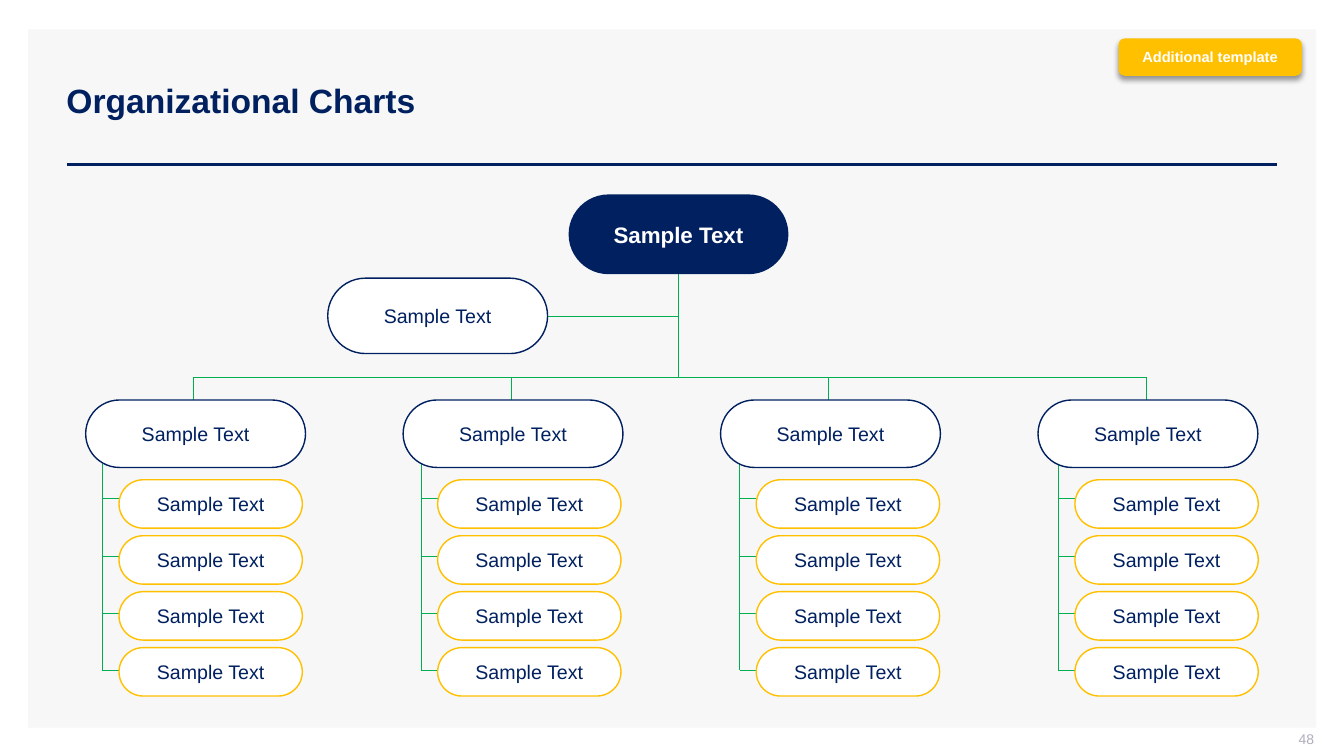
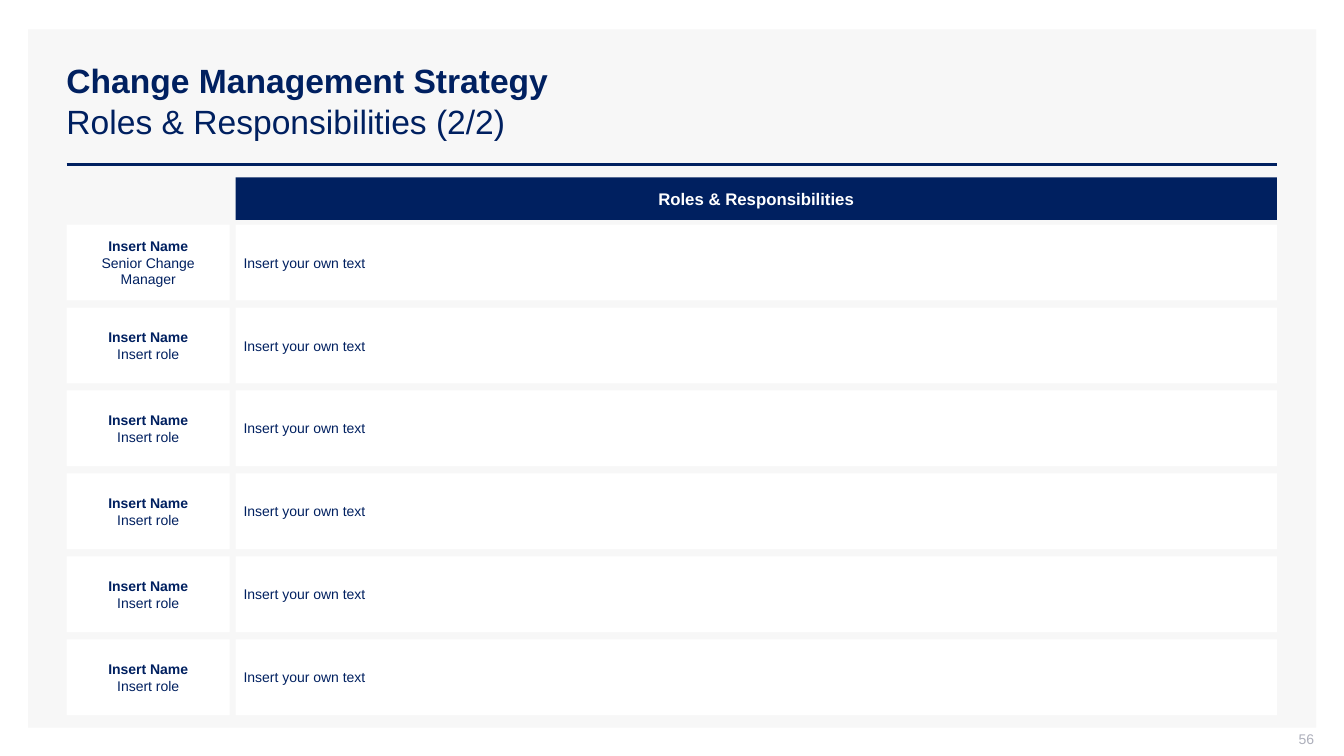
"""Build an organizational chart slide and a roles and responsibilities slide."""
import lxml.etree
import pptx
import pptx.dml.color
import pptx.enum.shapes
import pptx.enum.text
import pptx.oxml.ns
import pptx.util

Cm = pptx.util.Cm
Pt = pptx.util.Pt
qn = pptx.oxml.ns.qn
RGBColor = pptx.dml.color.RGBColor
SHAPES = pptx.enum.shapes.MSO_SHAPE
ALIGN = pptx.enum.text.PP_ALIGN
MIDDLE = pptx.enum.text.MSO_ANCHOR.MIDDLE

FONT = "Arial"
COLORS = {
    "navy": "002060",
    "green": "00B050",
    "amber": "FFC000",
    "white": "FFFFFF",
    "panel": "F7F7F7",
    "gray": "ADAFBB",
    "black": "000000",
}


def add_box(slide, kind, position, fill, text="", size=14, color="navy",
            bold=False, outline=None, align=ALIGN.CENTER, insets=(0.25, 0.13)):
    """Add a filled shape with centimetre position and formatted text."""
    shape = slide.shapes.add_shape(kind, *[Cm(value) for value in position])
    shape.shadow.inherit = False
    shape.fill.solid()
    shape.fill.fore_color.rgb = RGBColor.from_string(COLORS[fill])
    if outline:
        shape.line.color.rgb = RGBColor.from_string(COLORS[outline])
        shape.line.width = Pt(1)
    else:
        shape.line.fill.background()
    frame = shape.text_frame
    frame.word_wrap = True
    frame.vertical_anchor = MIDDLE
    frame.margin_left = frame.margin_right = Cm(insets[0])
    frame.margin_top = frame.margin_bottom = Cm(insets[1])
    frame.text = text
    for paragraph in frame.paragraphs:
        paragraph.alignment = align
        paragraph.font.name = FONT
        paragraph.font.size = Pt(size)
        paragraph.font.bold = bold
        paragraph.font.color.rgb = RGBColor.from_string(COLORS[color])
    return shape


def add_line(slide, left, top, right, bottom, color="green", width=0.5):
    """Add a straight line between two points in centimetres."""
    line = slide.shapes.add_connector(
        pptx.enum.shapes.MSO_CONNECTOR.STRAIGHT,
        Cm(left), Cm(top), Cm(right), Cm(bottom))
    line.line.color.rgb = RGBColor.from_string(COLORS[color])
    line.line.width = Pt(width)
    lxml.etree.SubElement(line.element.spPr, qn("a:effectLst"))
    return line


presentation = pptx.Presentation()
presentation.slide_width = Cm(33.87)
presentation.slide_height = Cm(19.05)
layout = presentation.slide_layouts[5]
chart_slide = presentation.slides.add_slide(layout)
roles_slide = presentation.slides.add_slide(layout)

panel = add_box(chart_slide, SHAPES.RECTANGLE, (0.71, 0.74, 32.46, 17.6), "panel")
title_rule = add_line(chart_slide, 1.68, 4.14, 32.18, 4.14, "navy", 2)
for shape in (panel, title_rule):
    layout.shapes.element.append(shape.element)

headings = [
    (chart_slide, "Organizational Charts", None, "48"),
    (roles_slide, "Change Management Strategy", "Roles & Responsibilities (2/2)", "56"),
]
for slide, heading, subheading, page_number in headings:
    title = slide.shapes.title
    title.left, title.top = Cm(1.42), Cm(1.02)
    title.width, title.height = Cm(30.76), Cm(3.02)
    title.text_frame.vertical_anchor = MIDDLE
    paragraph = title.text_frame.paragraphs[0]
    paragraph.alignment = ALIGN.LEFT
    paragraph.font.name = FONT
    paragraph.font.size = Pt(24)
    paragraph.font.color.rgb = RGBColor.from_string(COLORS["navy"])
    run = paragraph.add_run()
    run.text = heading
    run.font.bold = True
    if subheading:
        paragraph.add_line_break()
        run = paragraph.add_run()
        run.text = subheading
        run.font.bold = False

    number_box = slide.shapes.add_textbox(Cm(25.5), Cm(18.42), Cm(7.62), Cm(0.53))
    frame = number_box.text_frame
    frame.word_wrap = True
    frame.vertical_anchor = MIDDLE
    frame.margin_top = frame.margin_right = 0
    frame.margin_bottom = Cm(0.13)
    frame.text = page_number
    paragraph = frame.paragraphs[0]
    paragraph.alignment = ALIGN.RIGHT
    paragraph.font.name = FONT
    paragraph.font.size = Pt(10)
    paragraph.font.color.rgb = RGBColor.from_string(COLORS["gray"])

BRANCHES = 4
LEAVES = 4
BRANCH_STEP = 8
BUS_TOP = 9.5
TRUNK_LEFT = 17.1
FIRST_DROP = 4.88

add_line(chart_slide, FIRST_DROP, BUS_TOP,
         FIRST_DROP + (BRANCHES - 1) * BRANCH_STEP, BUS_TOP)
add_line(chart_slide, TRUNK_LEFT, 6.86, TRUNK_LEFT, BUS_TOP)
add_line(chart_slide, 13.11, 7.98, TRUNK_LEFT, 7.98)

pills = [
    ((14.33, 4.9, 5.54, 2.01), "navy", None, 16, "white", True),
    ((8.26, 7.01, 5.54, 1.9), "white", "navy", 14, "navy", False),
]
for branch in range(BRANCHES):
    drop_left = FIRST_DROP + branch * BRANCH_STEP
    leaf_left = 3 + branch * 8.03
    spine_left = leaf_left - 0.42
    add_line(chart_slide, drop_left, BUS_TOP, drop_left, 10.19)
    add_line(chart_slide, spine_left, 11.68, spine_left, 16.89)
    branch_position = (2.16 + branch * BRANCH_STEP, 10.08, 5.54, 1.7)
    pills.append((branch_position, "white", "navy", 14, "navy", False))
    for leaf in range(LEAVES):
        stub_top = 12.57 + leaf * 1.44
        add_line(chart_slide, spine_left, stub_top, leaf_left, stub_top)
        leaf_position = (leaf_left, 12.09 + leaf * 1.41, 4.62, 1.22)
        pills.append((leaf_position, "white", "amber", 14, "navy", False))

for position, fill, outline, size, color, bold in pills:
    pill = add_box(chart_slide, SHAPES.ROUNDED_RECTANGLE, position, fill,
                   "Sample Text", size, color, bold, outline)
    pill.adjustments[0] = 0.5

badge = add_box(chart_slide, SHAPES.ROUNDED_RECTANGLE, (28.19, 0.97, 4.62, 0.94),
                "amber", "Additional template", 10.5, "white", True)
shadow = lxml.etree.SubElement(
    badge.element.spPr.find(qn("a:effectLst")), qn("a:outerShdw"),
    blurRad=str(Pt(4)), dist=str(Pt(3)), dir="5400000", rotWithShape="0")
shadow_color = lxml.etree.SubElement(shadow, qn("a:srgbClr"), val=COLORS["black"])
lxml.etree.SubElement(shadow_color, qn("a:alpha"), val="40000")

NAME_LEFT, NAME_WIDTH = 1.68, 4.11
TEXT_LEFT, TEXT_WIDTH = 5.94, 26.24
ROW_HEIGHT = 1.91
CELL_INSETS = (0.2, 0.05)

add_box(roles_slide, SHAPES.RECTANGLE, (TEXT_LEFT, 4.47, TEXT_WIDTH, 1.07), "navy",
        "Roles & Responsibilities", 12, "white", True, insets=(0.05, 0.05))
roles = ["Senior Change Manager"] + ["Insert role"] * 5
for row, role in enumerate(roles):
    row_top = 5.66 + row * 2.09
    name_box = add_box(roles_slide, SHAPES.RECTANGLE,
                       (NAME_LEFT, row_top, NAME_WIDTH, ROW_HEIGHT), "white",
                       f"Insert Name\n{role}", 10, insets=CELL_INSETS)
    name_box.text_frame.paragraphs[0].font.bold = True
    add_box(roles_slide, SHAPES.RECTANGLE,
            (TEXT_LEFT, row_top, TEXT_WIDTH, ROW_HEIGHT), "white",
            "Insert your own text", 10, align=ALIGN.LEFT, insets=CELL_INSETS)

presentation.save("out.pptx")
